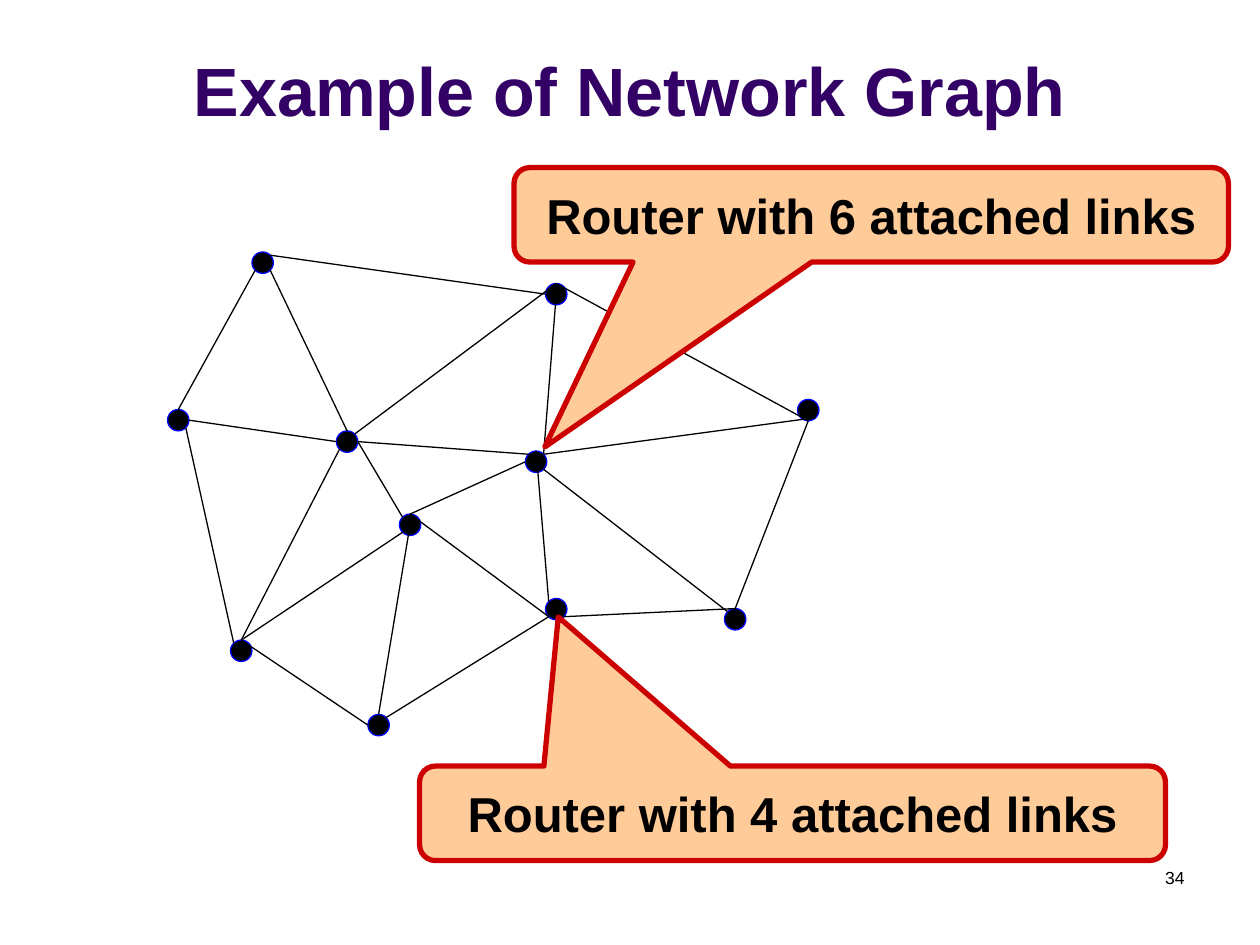
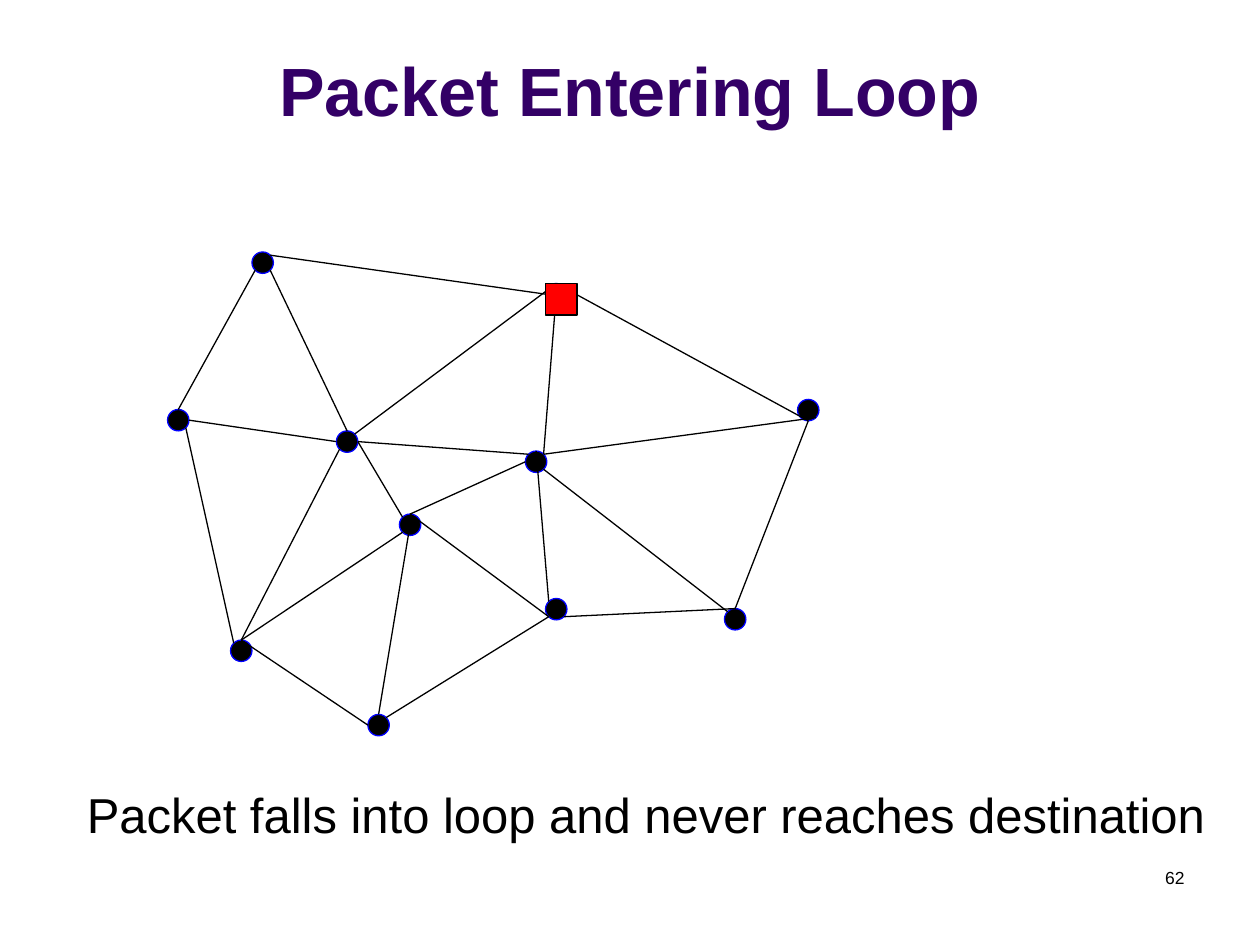
from lxml.etree import SubElement
from pptx import Presentation
from pptx.dml.color import RGBColor
from pptx.enum.shapes import MSO_CONNECTOR, MSO_SHAPE
from pptx.enum.text import MSO_ANCHOR, MSO_AUTO_SIZE, PP_ALIGN
from pptx.oxml.ns import qn
from pptx.util import Inches, Pt

PURPLE = RGBColor(0x33, 0x00, 0x66)
BLACK = RGBColor(0x00, 0x00, 0x00)
BLUE = RGBColor(0x00, 0x00, 0xFF)
RED = RGBColor(0xFF, 0x00, 0x00)
DARK_RED = RGBColor(0xCC, 0x00, 0x00)
PEACH = RGBColor(0xFF, 0xCC, 0x99)

ROUTER_SIZE = 0.17
ROUTERS = {
    "A": (2, 2),
    "B": (1.33, 3.25),
    "C": (4.33, 2.25),
    "D": (4.33, 4.75),
    "E": (2.92, 5.67),
    "F": (2.67, 3.42),
    "G": (6.33, 3.17),
    "H": (3.17, 4.08),
    "I": (1.83, 5.08),
    "J": (4.17, 3.58),
    "K": (5.75, 4.83),
}
SITES = {
    "middle": (0.5, 0.5),
    "N": (0.5, 0),
    "NE": (0.85, 0.15),
    "E": (1, 0.5),
    "SE": (0.85, 0.85),
    "S": (0.5, 1),
    "SW": (0.15, 0.85),
    "W": (0, 0.5),
    "NW": (0.15, 0.15),
}
LINKS = [
    ("A", "SE", "F", "N"),
    ("A", "SW", "B", "N"),
    ("B", "SE", "I", "NW"),
    ("F", "E", "H", "NW"),
    ("J", "SE", "K", "NW"),
    ("C", "middle", "J", "NE"),
    ("C", "N", "G", "S"),
    ("G", "S", "K", "N"),
    ("I", "N", "E", "W"),
    ("H", "N", "D", "SW"),
    ("K", "N", "D", "SE"),
    ("J", "N", "D", "NW"),
    ("H", "middle", "E", "N"),
    ("F", "E", "J", "NW"),
    ("B", "E", "F", "W"),
    ("I", "N", "H", "SW"),
    ("E", "NE", "D", "SW"),
    ("I", "N", "F", "SW"),
    ("H", "N", "J", "W"),
    ("J", "NE", "G", "SE"),
    ("A", "NE", "C", "W"),
    ("F", "NE", "C", "N"),
]
CALLOUTS = [
    ("Router with 6 attached links", (4.08, 1.33, 5.67, 0.75), (-0.457, 2.458, 0.167)),
    ("Router with 4 attached links", (3.33, 6.08, 5.92, 0.75), (-0.314, -2.079, 0.167)),
]


def add_filled_shape(slide, kind, box, fill, line, line_width):
    shape = slide.shapes.add_shape(kind, *[Inches(length) for length in box])
    shape.shadow.inherit = False
    shape.fill.solid()
    shape.fill.fore_color.rgb = fill
    shape.line.color.rgb = line
    shape.line.width = Pt(line_width)
    return shape


def write_text(shape, text, size, alignment, color=BLACK, bold=False):
    shape.text_frame.text = text
    paragraph = shape.text_frame.paragraphs[0]
    paragraph.alignment = alignment
    font = paragraph.runs[0].font
    font.name = "Arial"
    font.size = Pt(size)
    font.bold = bold
    font.color.rgb = color


presentation = Presentation()
presentation.slide_width = Inches(10)
presentation.slide_height = Inches(7.5)

for heading, number in [("Example of Network Graph", "34"), ("Packet Entering Loop", "62")]:
    slide = presentation.slides.add_slide(presentation.slide_layouts[5])
    title = slide.shapes.title
    title.left, title.top = Inches(0), Inches(0.13)
    title.width, title.height = Inches(10), Inches(0.95)
    write_text(title, heading, 39, PP_ALIGN.CENTER, PURPLE, True)
    title.text_frame.vertical_anchor = MSO_ANCHOR.BOTTOM
    title.text_frame.auto_size = MSO_AUTO_SIZE.NONE

    page_number = slide.shapes.add_textbox(Inches(7.17), Inches(6.83), Inches(2.33), Inches(0.5))
    page_number.text_frame.word_wrap = True
    write_text(page_number, number, 10, PP_ALIGN.RIGHT)

    for left, top in ROUTERS.values():
        box = (left, top, ROUTER_SIZE, ROUTER_SIZE)
        add_filled_shape(slide, MSO_SHAPE.OVAL, box, BLACK, BLUE, 0.75)

    for start, start_site, end, end_site in LINKS:
        points = []
        for router, site in [(start, start_site), (end, end_site)]:
            for corner, fraction in zip(ROUTERS[router], SITES[site]):
                points.append(Inches(corner + fraction * ROUTER_SIZE))
        link = slide.shapes.add_connector(MSO_CONNECTOR.STRAIGHT, *points)
        link.line.color.rgb = BLACK
        link.line.width = Pt(0.75)
        SubElement(link._element.spPr, qn("a:effectLst"))

graph_slide, loop_slide = presentation.slides

for text, box, adjustments in CALLOUTS:
    callout = add_filled_shape(
        graph_slide, MSO_SHAPE.ROUNDED_RECTANGULAR_CALLOUT, box, PEACH, DARK_RED, 3
    )
    for index, value in enumerate(adjustments):
        callout.adjustments[index] = value
    write_text(callout, text, 28, PP_ALIGN.CENTER, bold=True)
    callout.text_frame.word_wrap = False
    callout.text_frame.vertical_anchor = MSO_ANCHOR.MIDDLE

add_filled_shape(loop_slide, MSO_SHAPE.RECTANGLE, (*ROUTERS["C"], 0.25, 0.25), RED, BLACK, 0.75)
caption = loop_slide.shapes.add_textbox(Inches(0.5), Inches(6.18), Inches(9.25), Inches(0.57))
caption.text_frame.word_wrap = True
caption.text_frame.auto_size = MSO_AUTO_SIZE.SHAPE_TO_FIT_TEXT
write_text(caption, "Packet falls into loop and never reaches destination", 28, PP_ALIGN.CENTER)

presentation.save("out.pptx")
